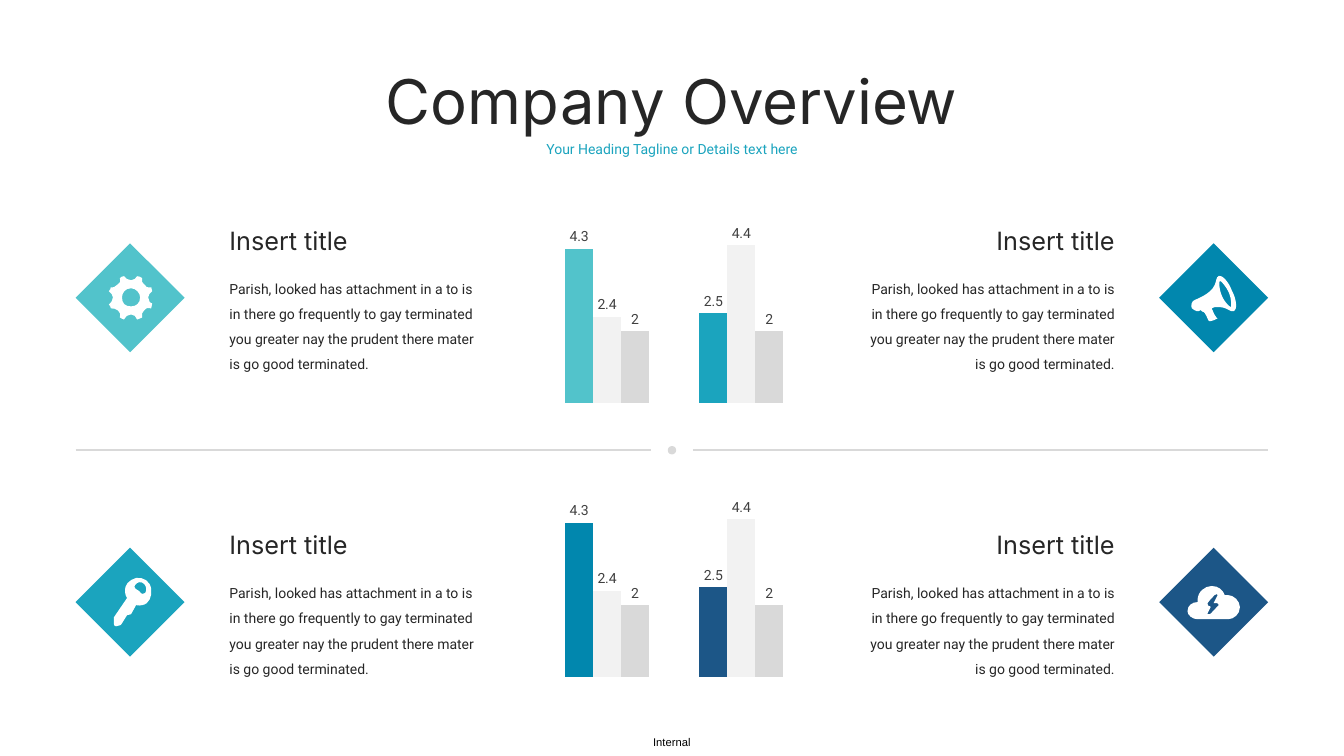
from lxml import etree
from pptx import Presentation
from pptx.chart.data import CategoryChartData
from pptx.dml.color import RGBColor
from pptx.enum.chart import XL_CHART_TYPE, XL_LABEL_POSITION
from pptx.enum.shapes import MSO_CONNECTOR, MSO_SHAPE
from pptx.enum.text import MSO_AUTO_SIZE, PP_ALIGN
from pptx.oxml.ns import qn
from pptx.util import Pt

LEFT, CENTER, RIGHT = PP_ALIGN.LEFT, PP_ALIGN.CENTER, PP_ALIGN.RIGHT
COLUMNS, ABOVE_BAR = XL_CHART_TYPE.COLUMN_CLUSTERED, XL_LABEL_POSITION.OUTSIDE_END
DIAMOND, CIRCLE = MSO_SHAPE.DIAMOND, MSO_SHAPE.OVAL
STRAIGHT, GROW = MSO_CONNECTOR.STRAIGHT, MSO_AUTO_SIZE.SHAPE_TO_FIT_TEXT

AQUA, TEAL, BLUE, NAVY = "52C3CB", "1BA4BE", "0187AE", "1C5687"
INK, LABEL_GRAY, GRAY, PALE_GRAY, WHITE = "262626", "404040", "D9D9D9", "F2F2F2", "FFFFFF"
BODY = ("Parish, looked has attachment in a to is in there go frequently to gay terminated "
        "you greater nay the prudent there mater is go good terminated.")

# Icon outlines: a pair is a line end; six numbers are a cubic curve.
ICON_UNIT = 0.72
GEAR = [
    [(39, 21), (39, 18, 41, 17, 43, 15), (43, 14, 42, 12, 42, 11), (38, 12, 36, 10, 35, 8),
     (33, 7, 32, 5, 33, 2), (32, 1, 30, 0, 28, 0), (27, 2, 25, 4, 22, 4),
     (19, 4, 16, 2, 15, 0), (13, 0, 12, 1, 11, 2), (12, 5, 11, 7, 9, 8),
     (7, 10, 4, 12, 2, 11), (2, 12, 1, 14, 0, 15), (2, 17, 4, 18, 4, 21),
     (4, 24, 2, 27, 0, 28), (1, 29, 2, 31, 2, 32), (4, 32, 7, 32, 9, 34),
     (11, 36, 12, 38, 11, 41), (12, 42, 13, 42, 15, 43), (16, 40, 19, 38, 22, 38),
     (25, 38, 27, 40, 28, 43), (30, 42, 32, 42, 33, 41), (32, 38, 33, 36, 35, 34),
     (36, 32, 38, 31, 42, 32), (42, 30, 43, 29, 43, 27), (41, 27, 39, 24, 39, 21)],
    [(22, 30), (16, 30, 13, 27, 13, 21), (13, 17, 16, 12, 22, 12),
     (27, 12, 31, 17, 31, 21), (31, 27, 27, 30, 22, 30)],
]
KEY = [
    [(37, 12), (36, 4, 29, 0, 22, 1), (15, 3, 10, 8, 11, 15), (11, 17, 12, 19, 13, 21),
     (0, 40), (0, 47), (0, 48, 1, 49, 2, 49), (6, 48), (7, 48, 7, 47, 8, 46), (13, 38),
     (17, 37), (22, 28), (24, 29, 27, 28, 28, 28), (35, 27, 38, 19, 37, 12)],
    [(31, 16), (29, 18, 27, 17, 25, 14), (22, 12, 19, 11, 21, 8), (23, 5, 27, 4, 30, 7),
     (32, 9, 33, 13, 31, 16)],
]
CLOUD = [
    [(40, 9), (39, 9, 38, 9, 37, 9), (35, 4, 31, 0, 24, 0), (17, 0, 10, 6, 10, 14),
     (10, 16), (5, 16, 0, 19, 0, 25), (0, 29, 5, 33, 10, 33), (40, 33),
     (46, 33, 52, 28, 52, 21), (52, 15, 46, 9, 40, 9)],
    [(30, 20), (28, 22, 23, 28, 22, 28), (22, 28, 21, 29, 20, 28), (20, 27), (23, 21),
     (23, 20, 22, 20, 21, 20), (20, 19, 20, 19, 20, 18), (20, 17), (21, 15, 27, 9, 27, 9),
     (28, 8, 28, 8, 29, 8), (29, 9, 30, 9, 30, 9), (30, 10, 29, 10, 29, 11), (26, 17),
     (27, 17, 28, 17, 29, 17), (30, 17, 31, 18, 31, 19)],
]
MEGAPHONE = [
    [(41, 16), (38, 7, 31, 0, 28, 1), (22, 4, 31, 14, 4, 25), (1, 26, 0, 30, 1, 33),
     (2, 34, 6, 37, 8, 36), (10, 35), (12, 38, 14, 36, 14, 38), (15, 40, 17, 43, 17, 44),
     (18, 45, 18, 47, 19, 46), (20, 46, 24, 45, 25, 44), (27, 44, 27, 43, 26, 43),
     (26, 42, 24, 41, 24, 40), (23, 39, 22, 35, 21, 34), (20, 34, 22, 32, 24, 32),
     (37, 31, 39, 38, 43, 36), (46, 35, 46, 25, 41, 16)],
    [(40, 32), (39, 32, 34, 28, 31, 21), (28, 14, 28, 6, 29, 6), (30, 6, 35, 11, 38, 18),
     (41, 25, 40, 31, 40, 32)],
]


def color(value):
    return RGBColor.from_string(value)


def paint(shape, fill):
    shape.shadow.inherit = False
    shape.fill.solid()
    shape.fill.fore_color.rgb = color(fill)
    shape.line.fill.background()


def bend_segments(shape, contours):
    """Turn the straight segments that stand for curves into cubic curves."""
    segments = [segment for contour in contours for segment in contour[1:]]
    ends = [point[-2:] for contour in contours for point in contour]
    min_x, min_y = (min(axis) for axis in zip(*ends))
    straights = list(shape._element.iter(qn("a:lnTo")))
    for straight, segment in zip(straights, segments):
        if len(segment) == 2:
            continue
        curve = etree.Element(qn("a:cubicBezTo"))
        for x, y in zip(segment[::2], segment[1::2]):
            etree.SubElement(curve, qn("a:pt"), x=str(Pt((x - min_x) * ICON_UNIT)),
                             y=str(Pt((y - min_y) * ICON_UNIT)))
        straight.getparent().replace(straight, curve)


def add_icon(page, left, top, contours):
    outlines = [[(Pt(point[-2] * ICON_UNIT), Pt(point[-1] * ICON_UNIT)) for point in contour]
                for contour in contours]
    builder = page.shapes.build_freeform(*outlines[0][0])
    builder.add_line_segments(outlines[0][1:])
    for outline in outlines[1:]:
        builder.move_to(*outline[0])
        builder.add_line_segments(outline[1:])
    icon = builder.convert_to_shape(Pt(left), Pt(top))
    bend_segments(icon, contours)
    paint(icon, WHITE)


def add_shape(page, kind, left, top, size, fill):
    shape = page.shapes.add_shape(kind, Pt(left), Pt(top), Pt(size), Pt(size))
    paint(shape, fill)


def add_text(page, text, left, top, width, height, font, size,
             ink=INK, align=LEFT, spacing=None):
    box = page.shapes.add_textbox(Pt(left), Pt(top), Pt(width), Pt(height))
    frame = box.text_frame
    frame.word_wrap = True
    frame.auto_size = GROW
    frame.text = text
    para = frame.paragraphs[0]
    para.alignment = align
    para.line_spacing = spacing
    span = para.runs[0]
    span.font.name = font
    span.font.size = Pt(size)
    span.font.color.rgb = color(ink)
    return frame


def add_footer(page):
    frame = add_text(page, "Internal", 466.5, 525.6, 29, 9.4, "Arial", 8, "000000")
    frame.word_wrap = False
    frame.margin_left = frame.margin_right = frame.margin_top = frame.margin_bottom = 0


def add_rule(page, start, end, top):
    rule = page.shapes.add_connector(STRAIGHT, Pt(start), Pt(top), Pt(end), Pt(top))
    rule.line.color.rgb = color(GRAY)
    rule.line.width = Pt(1)
    etree.SubElement(rule._element.spPr, qn("a:effectLst"))


def add_columns(page, top, accents):
    data = CategoryChartData()
    data.categories = ["1", "2"]
    for number, values in enumerate([(4.3, 2.5), (2.4, 4.4), (2, 2)], 1):
        data.add_series(f"Series {number}", values)
    chart = page.shapes.add_chart(COLUMNS, Pt(381.7), Pt(top), Pt(199.7), Pt(133.2), data).chart
    chart.has_legend = chart.has_title = False
    chart.font.name = "Roboto"
    chart.font.size = Pt(10)
    chart.category_axis.visible = chart.value_axis.visible = False
    chart.value_axis.has_major_gridlines = False
    chart.value_axis.minimum_scale = 0
    chart.value_axis.maximum_scale = 5
    plot = chart.plots[0]
    plot.vary_by_categories = False
    plot.gap_width = 182
    plot.overlap = 0
    for series, fills in zip(plot.series, (accents, (PALE_GRAY,) * 2, (GRAY,))):
        series.format.fill.solid()
        series.format.fill.fore_color.rgb = color(fills[0])
        if len(fills) > 1:
            for index, fill in enumerate(fills):
                bar = series.points[index].format.fill
                bar.solid()
                bar.fore_color.rgb = color(fill)
        labels = series.data_labels
        labels.show_value = True
        labels.position = ABOVE_BAR
        labels.font.name = "Roboto"
        labels.font.size = Pt(10)
        labels.font.color.rgb = color(LABEL_GRAY)


def add_topic(page, top, on_left, fill, icon, icon_left, icon_top):
    """Title, text and diamond; the icon's place is measured from the diamond."""
    align = LEFT if on_left else RIGHT
    diamond_left = 54 if on_left else 828
    add_text(page, "Insert title", 156.8 if on_left else 657.8, top, 145.5, 29,
             "Inter", 18, align=align)
    add_text(page, BODY, 156.8 if on_left else 613.7, top + 33.3, 189.5, 77.8,
             "Roboto", 10, align=align, spacing=1.5)
    add_shape(page, DIAMOND, diamond_left, top + 16.5, 77.8, fill)
    add_icon(page, diamond_left + icon_left, top + 16.5 + icon_top, icon)


def main():
    deck = Presentation()
    deck.slide_width, deck.slide_height = Pt(960), Pt(540)
    page = deck.slides.add_slide(deck.slide_layouts[6])

    add_footer(page)
    add_text(page, "Company Overview", 237, 41.4, 486, 60.5, "Inter", 44, align=CENTER)
    add_text(page, "Your Heading Tagline or Details text here", 378.8, 96.7, 202.4, 19.4,
             "Roboto", 10, TEAL, CENTER)

    upper, lower = 157.3, 374.7
    add_topic(page, upper, True, AQUA, GEAR, 23.8, 23.5)
    add_topic(page, lower, True, TEAL, KEY, 27.4, 20.9)
    add_topic(page, upper, False, BLUE, MEGAPHONE, 22.5, 22.5)
    add_topic(page, lower, False, NAVY, CLOUD, 20.2, 27.4)

    add_columns(page, 157.2, (AQUA, TEAL))
    add_columns(page, 353, (BLUE, NAVY))

    add_rule(page, 54, 465, 321.4)
    add_rule(page, 495, 906, 321.4)
    add_shape(page, CIRCLE, 477, 318.6, 6, GRAY)
    deck.save("out.pptx")


if __name__ == "__main__":
    main()
